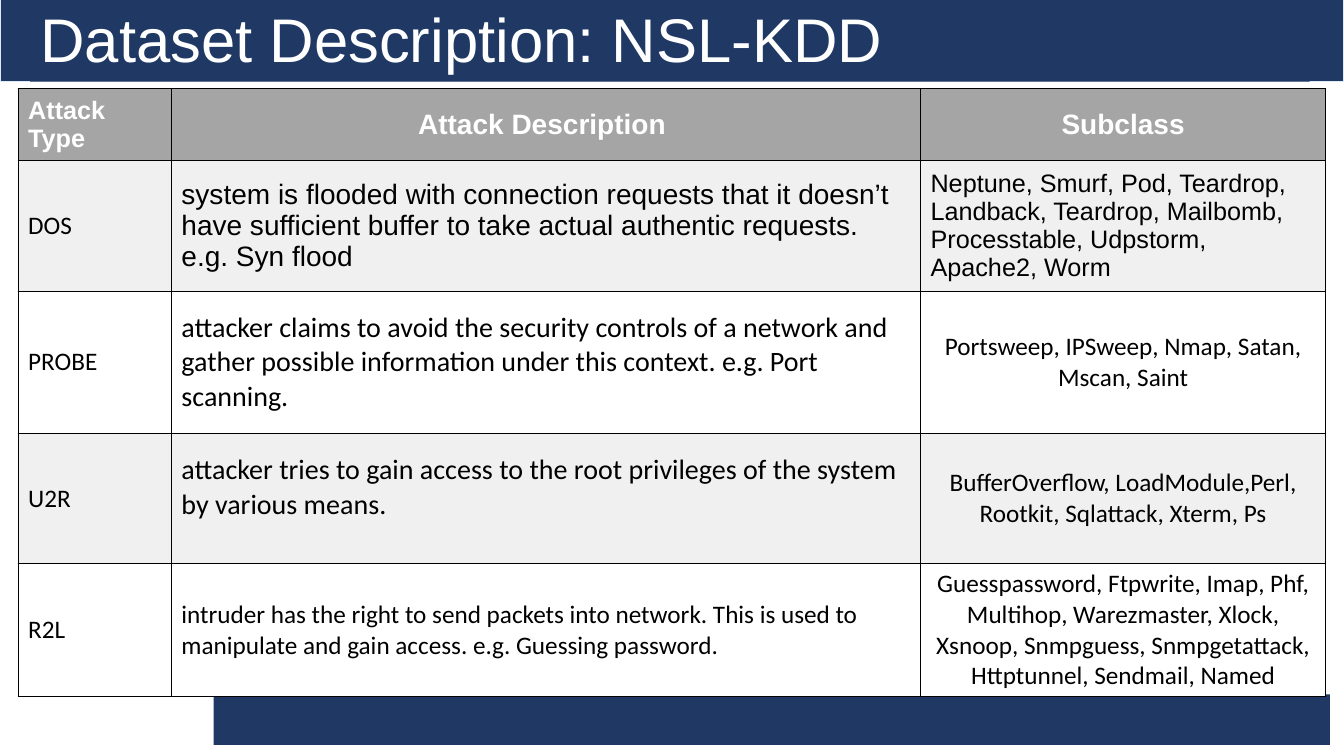
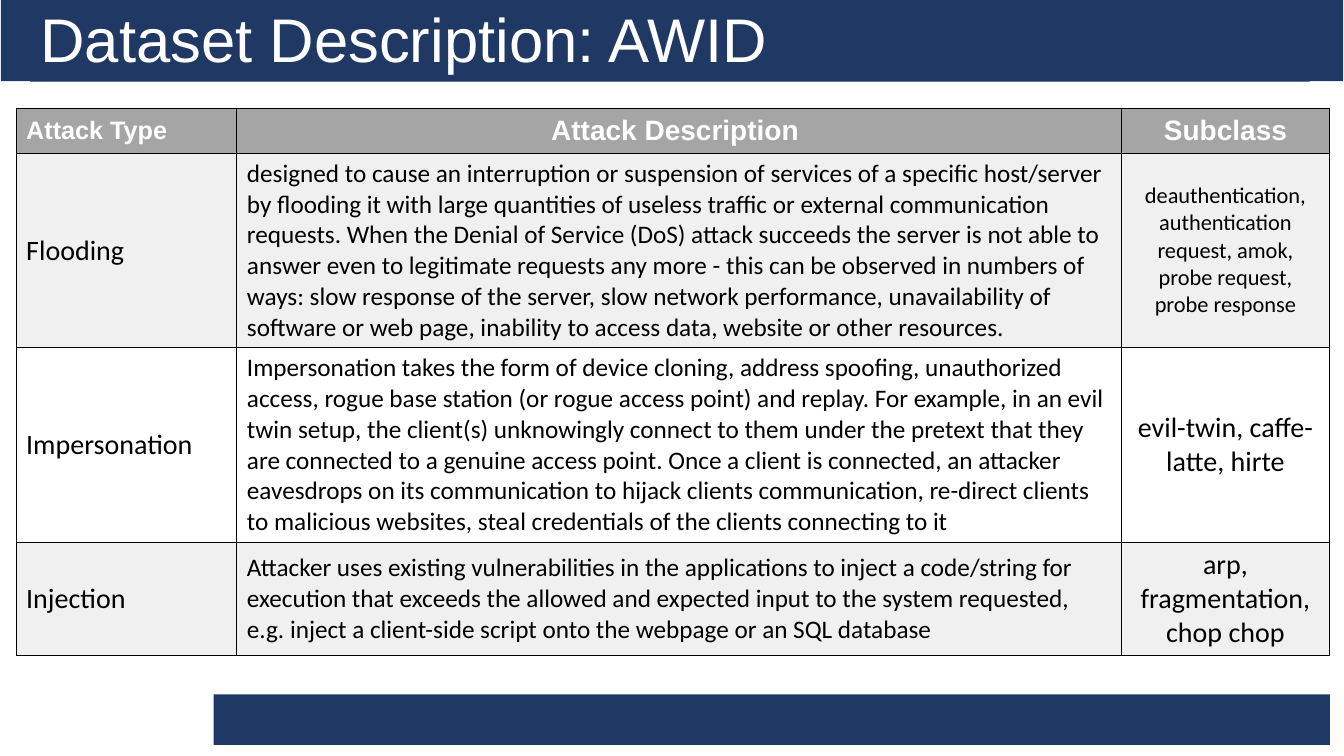
from dataclasses import dataclass

import lxml.etree
import pptx
import pptx.dml.color
import pptx.enum.shapes
import pptx.enum.text
import pptx.oxml.ns
import pptx.util

Inches = pptx.util.Inches
Pt = pptx.util.Pt
Align = pptx.enum.text.PP_ALIGN
Anchor = pptx.enum.text.MSO_ANCHOR

COLORS = {
    "navy": "1F3864",
    "band_edge": "DDEAF6",
    "header": "A5A5A5",
    "stripe": "F0F0F0",
    "white": "FFFFFF",
    "black": "000000",
}
HEADING_FONT, BODY_FONT = "Arial", "Calibri"


@dataclass
class Cell:
    text: str
    size: int = 18
    font: str = BODY_FONT
    align: Align = Align.LEFT
    bottom: float = 0.05


@dataclass
class Band:
    left: float
    top: float
    width: float
    height: float
    edge: str | None = None


@dataclass
class AttackSlide:
    title: str
    left: float
    top: float
    columns: list[float]
    heights: list[float]
    rows: list[list[Cell]]


def centered(text: str, size: int = 18) -> Cell:
    return Cell(text, size, align=Align.CENTER)


HEADINGS = [
    Cell("Attack Type", 18, HEADING_FONT),
    Cell("Attack Description ", 20, HEADING_FONT, Align.CENTER),
    Cell("Subclass", 20, HEADING_FONT, Align.CENTER),
]

BANDS = [
    Band(2.12, 6.89, 11.07, 0.5),
    Band(0, -0.02, 13.33, 0.83, "band_edge"),
]

SLIDES = [
    AttackSlide(
        "Dataset Description: NSL-KDD", 0.18, 0.88,
        [1.52, 7.43, 4.02], [0.71, 1.3, 1.41, 1.29, 1.3],
        [
            [
                Cell("DOS"),
                Cell("system is flooded with connection requests that it doesn’t have "
                     "sufficient buffer to take actual authentic requests. e.g. Syn flood",
                     20, HEADING_FONT),
                Cell("Neptune, Smurf, Pod, Teardrop, Landback, Teardrop, Mailbomb, "
                     "Processtable, Udpstorm, Apache2, Worm", 18, HEADING_FONT),
            ],
            [
                Cell("PROBE"),
                Cell("attacker claims to avoid the security controls of a network and "
                     "gather possible information under this context. e.g. Port scanning.",
                     20),
                centered("Portsweep, IPSweep, Nmap, Satan, Mscan, Saint"),
            ],
            [
                Cell("U2R"),
                Cell("attacker tries to gain access to the root privileges of the system "
                     "by various means.", 20, bottom=0.27),
                centered("BufferOverflow, LoadModule,Perl, Rootkit, Sqlattack, Xterm, Ps"),
            ],
            [
                Cell("R2L"),
                Cell("intruder has the right to send packets into network. This is used to "
                     "manipulate and gain access. e.g. Guessing password."),
                centered("Guesspassword, Ftpwrite, Imap, Phf, Multihop, Warezmaster, Xlock, "
                         "Xsnoop, Snmpguess, Snmpgetattack, Httptunnel, Sendmail, Named"),
            ],
        ],
    ),
    AttackSlide(
        "Dataset Description: AWID", 0.16, 1.08,
        [2.19, 8.77, 2.07], [0.44, 1.9, 1.9, 1.11],
        [
            [
                Cell("Flooding", 20),
                Cell("designed to cause an interruption or suspension of services of a "
                     "specific host/server by flooding it with large quantities of useless "
                     "traffic or external communication requests. When the Denial of Service "
                     "(DoS) attack succeeds the server is not able to answer even to "
                     "legitimate requests any more - this can be observed in numbers of "
                     "ways: slow response of the server, slow network performance, "
                     "unavailability of software or web page, inability to access data, "
                     "website or other resources."),
                centered("deauthentication, authentication request, amok, probe request, "
                         "probe response", 16),
            ],
            [
                Cell("Impersonation", 20),
                Cell("Impersonation takes the form of device cloning, address spoofing, "
                     "unauthorized access, rogue base station (or rogue access point) and "
                     "replay. For example, in an evil twin setup, the client(s) unknowingly "
                     "connect to them under the pretext that they are connected to a genuine "
                     "access point. Once a client is connected, an attacker eavesdrops on "
                     "its communication to hijack clients communication, re-direct clients "
                     "to malicious websites, steal credentials of the clients connecting "
                     "to it"),
                centered("evil-twin, caffe-latte, hirte", 20),
            ],
            [
                Cell("Injection", 20),
                Cell("Attacker uses existing vulnerabilities in the applications to inject a "
                     "code/string for execution that exceeds the allowed and expected input "
                     "to the system requested, e.g. inject a client-side script onto the "
                     "webpage or an SQL database"),
                centered("arp, fragmentation, chop chop", 20),
            ],
        ],
    ),
]


def rgb(name: str) -> pptx.dml.color.RGBColor:
    return pptx.dml.color.RGBColor.from_string(COLORS[name])


def paint(fill, color: str) -> None:
    fill.solid()
    fill.fore_color.rgb = rgb(color)


def style_font(font, name: str, size: int, color: str, bold: bool = False) -> None:
    font.name, font.size, font.bold = name, Pt(size), bold
    font.color.rgb = rgb(color)


def add_band(slide, band: Band) -> None:
    bar = slide.shapes.add_shape(
        pptx.enum.shapes.MSO_SHAPE.RECTANGLE,
        Inches(band.left), Inches(band.top), Inches(band.width), Inches(band.height))
    bar.shadow.inherit = False
    paint(bar.fill, "navy")
    if band.edge:
        bar.line.color.rgb = rgb(band.edge)
        bar.line.width = Pt(1)
    else:
        bar.line.fill.background()
    # Bands belong to the layout, so every slide shows them behind its content
    slide.slide_layout.shapes.element.append(bar.element)


def set_title(slide, text: str) -> None:
    title = slide.shapes.title
    title.left, title.top = Inches(0.3), Inches(0.04)
    title.width, title.height = Inches(12.69), Inches(0.77)
    paint(title.fill, "navy")
    frame = title.text_frame
    frame.text = text
    frame.auto_size = pptx.enum.text.MSO_AUTO_SIZE.NONE
    frame.vertical_anchor = Anchor.TOP
    paragraph = frame.paragraphs[0]
    paragraph.alignment = Align.LEFT
    paragraph.line_spacing = 0.9
    style_font(paragraph.runs[0].font, HEADING_FONT, 44, "white")


def add_borders(table_cell) -> None:
    properties = table_cell._tc.get_or_add_tcPr()
    qn = pptx.oxml.ns.qn
    for side in ("a:lnL", "a:lnR", "a:lnT", "a:lnB"):
        line = lxml.etree.SubElement(properties, qn(side), w=str(Pt(1)))
        solid = lxml.etree.SubElement(line, qn("a:solidFill"))
        lxml.etree.SubElement(solid, qn("a:srgbClr"), val=COLORS["black"])


def fill_cell(table_cell, cell: Cell, fill: str, color: str, bold: bool) -> None:
    add_borders(table_cell)
    paint(table_cell.fill, fill)
    table_cell.vertical_anchor = Anchor.MIDDLE
    table_cell.margin_left = table_cell.margin_right = Inches(0.1)
    table_cell.margin_top = Inches(0.05)
    table_cell.margin_bottom = Inches(cell.bottom)
    table_cell.text_frame.text = cell.text
    paragraph = table_cell.text_frame.paragraphs[0]
    paragraph.alignment = cell.align
    style_font(paragraph.runs[0].font, cell.font, cell.size, color, bold)


def add_attack_table(slide, content: AttackSlide) -> None:
    rows = [HEADINGS, *content.rows]
    attacks = slide.shapes.add_table(
        len(rows), len(content.columns), Inches(content.left), Inches(content.top),
        Inches(sum(content.columns)), Inches(sum(content.heights))).table
    for column, width in zip(attacks.columns, content.columns):
        column.width = Inches(width)
    for r, (row, height) in enumerate(zip(rows, content.heights)):
        attacks.rows[r].height = Inches(height)
        heading = r == 0
        fill = "header" if heading else "stripe" if r % 2 else "white"
        color = "white" if heading else "black"
        for c, cell in enumerate(row):
            fill_cell(attacks.cell(r, c), cell, fill, color, heading)


def main() -> None:
    deck = pptx.Presentation()
    deck.slide_width, deck.slide_height = Inches(13.33), Inches(7.5)
    title_only = deck.slide_layouts[5]
    slides = [deck.slides.add_slide(title_only) for _ in SLIDES]

    # Shared bands
    for band in BANDS:
        add_band(slides[0], band)

    # Titles and tables
    for slide, content in zip(slides, SLIDES):
        set_title(slide, content.title)
        add_attack_table(slide, content)
    deck.save("out.pptx")


if __name__ == "__main__":
    main()
